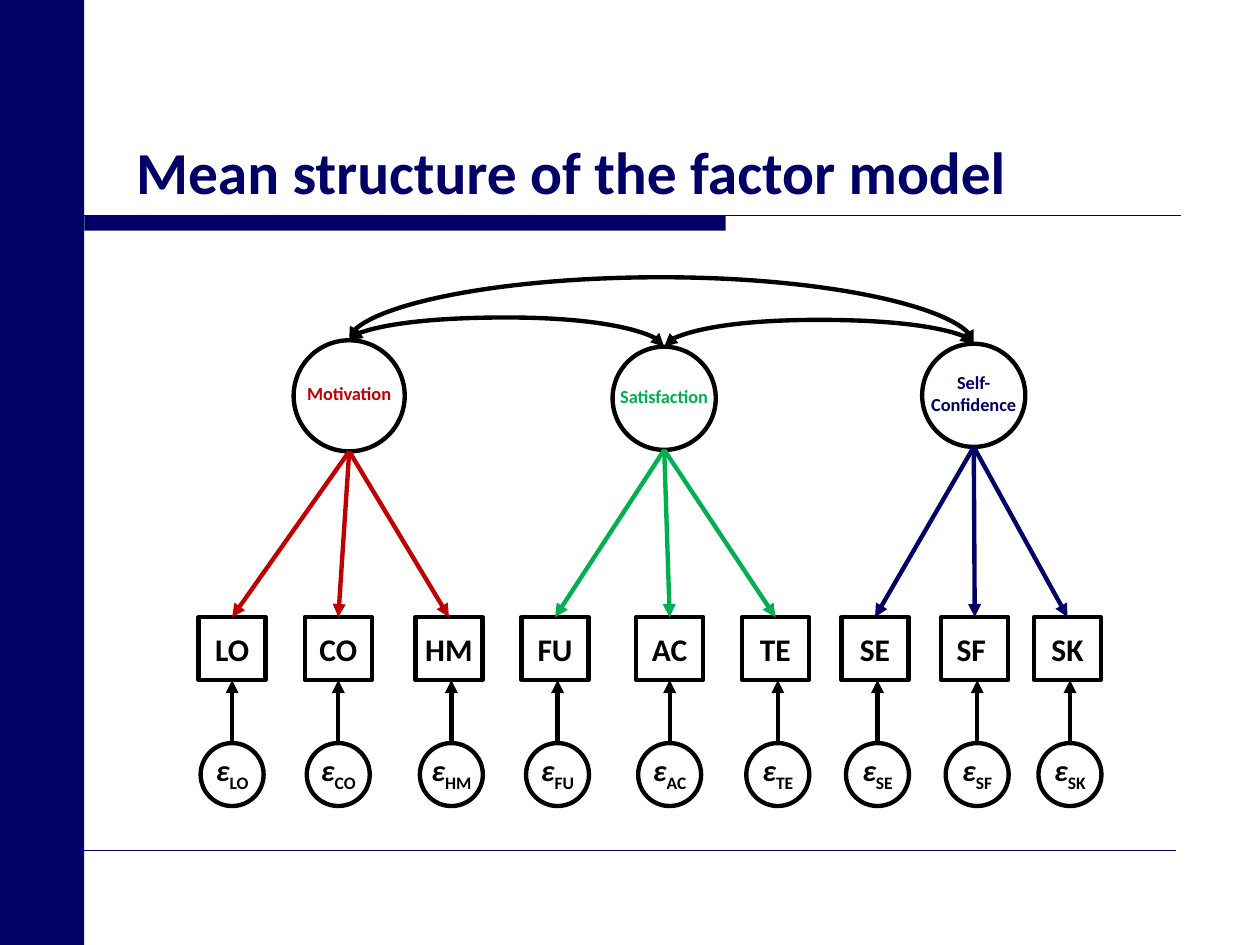
from lxml import etree
from pptx import Presentation
from pptx.dml.color import RGBColor
from pptx.enum.shapes import MSO_CONNECTOR, MSO_SHAPE
from pptx.enum.text import MSO_ANCHOR, MSO_AUTO_SIZE, PP_ALIGN
from pptx.oxml.ns import qn
from pptx.util import Cm, Pt

RECT, OVAL = MSO_SHAPE.RECTANGLE, MSO_SHAPE.OVAL
STRAIGHT, CURVE = MSO_CONNECTOR.STRAIGHT, MSO_CONNECTOR.CURVE
CENTER, LEFT = PP_ALIGN.CENTER, PP_ALIGN.LEFT
MIDDLE, BOTTOM = MSO_ANCHOR.MIDDLE, MSO_ANCHOR.BOTTOM
NO_FIT = MSO_AUTO_SIZE.NONE

NAVY = RGBColor(0x00, 0x00, 0x66)
RED = RGBColor(0xC0, 0x00, 0x00)
GREEN = RGBColor(0x00, 0xB0, 0x50)
BLACK = RGBColor(0x00, 0x00, 0x00)

FONT = "Calibri"
STROKE = 2.5

# Factor: lines, colour, centre x, top, diameter, indicators with centre x
# and the sideways shift of their error term (cm, within the diagram)
FACTORS = [
    (["Motivation"], RED, 3.04, 1.27, 2.24,
     [("LO", 0.68, 0), ("CO", 2.82, 0), ("HM", 5.05, 0.05)]),
    (["Satisfaction"], GREEN, 9.39, 1.4, 2.08,
     [("FU", 7.19, 0.05), ("AC", 9.5, 0), ("TE", 11.63, 0.05)]),
    (["Self-", "Confidence"], NAVY, 15.63, 1.34, 2.08,
     [("SE", 13.64, 0.05), ("SF ", 15.65, 0.05), ("SK", 17.52, 0.05)]),
]
# Covariance: first factor, second factor, height of the arc's top
COVARIANCES = [(0, 1, 0.81), (1, 2, 0.86), (0, 2, 0)]

BOX_TOP, BOX_W, BOX_H = 6.85, 1.35, 1.27
ERROR_TOP, ERROR_D = 9.39, 1.27


def add_run(p, text, size, color, italic=False, baseline=None):
    r = p.add_run()
    r.text = text
    r.font.name, r.font.size = FONT, Pt(size)
    r.font.bold, r.font.italic = True, italic
    r.font.color.rgb = color
    if baseline:
        r.font._element.set("baseline", str(baseline))


def add_block(slide, left, top, width, height):
    sp = slide.shapes.add_shape(RECT, Cm(left), Cm(top), Cm(width), Cm(height))
    sp.shadow.inherit = False
    sp.fill.solid()
    sp.fill.fore_color.rgb = NAVY
    sp.line.fill.background()


def add_node(slide, kind, center_x, top, width, height, inset=0, wrap=True):
    """Add an outlined node and return its text frame."""
    sp = slide.shapes.add_shape(kind, Cm(center_x - width / 2), Cm(top),
                                Cm(width), Cm(height))
    sp.shadow.inherit = False
    sp.fill.background()
    sp.line.color.rgb = BLACK
    sp.line.width = Pt(STROKE)
    tf = sp.text_frame
    tf.word_wrap = wrap
    tf.vertical_anchor = MIDDLE
    tf.margin_left = tf.margin_right = Cm(inset)
    tf.margin_top, tf.margin_bottom = Cm(0.1 if inset else 0), Cm(0.1)
    tf.paragraphs[0].alignment = CENTER
    return tf


def add_line(slide, start, end, color, width=STROKE, ends=(), kind=STRAIGHT):
    line = slide.shapes.add_connector(kind, *(Cm(v) for v in (*start, *end)))
    line.line.color.rgb = color
    line.line.width = Pt(width)
    for tag in ends:
        arrow = etree.SubElement(line.line._get_or_add_ln(), qn(tag))
        arrow.set("type", "triangle")
    etree.SubElement(line._element.spPr, qn("a:effectLst"))
    return line


def add_arc(slide, start, end, peak):
    """Join two points by a double-headed curve that rises to peak."""
    (x1, y1), (x2, y2) = start, end
    mid_x, mid_y = (x1 + x2) / 2, (y1 + y2) / 2
    half_w, half_h = abs(y2 - y1) / 2, (x2 - x1) / 2
    falls = y2 > y1
    side = half_h if falls else -half_h
    # The connector lies on its side: its box is swapped and then turned
    line = add_line(slide, (mid_x + half_w, mid_y - side),
                    (mid_x - half_w, mid_y + side), BLACK,
                    ends=("a:headEnd", "a:tailEnd"), kind=CURVE)
    sp_pr = line._element.spPr
    sp_pr.find(qn("a:xfrm")).set("rot", str((270 if falls else 90) * 60000))
    guides = sp_pr.find(qn("a:prstGeom")).get_or_add_avLst()
    guide = etree.SubElement(guides, qn("a:gd"))
    guide.set("name", "adj1")
    guide.set("fmla", f"val {round((peak - y1) / (y2 - y1) * 100000)}")


def add_frame(slide, left, top, width, height):
    """Side bar, title rule and footer rule."""
    bar = 1.7
    x, right = left + bar, left + width
    add_block(slide, left, top, bar, height)
    add_block(slide, x, top + 4.34, 12.93, 0.31)
    add_line(slide, (x, top + 4.34), (right - 1.6, top + 4.34), NAVY, 0.75)
    add_line(slide, (x, top + 17.15), (right - 1.7, top + 17.15), NAVY, 0.25)


def add_title(slide, left, top, width, height):
    title = slide.shapes.title
    title.left, title.top = Cm(left), Cm(top)
    title.width, title.height = Cm(width), Cm(height)
    tf = title.text_frame
    tf.word_wrap = True
    tf.auto_size = NO_FIT
    tf.vertical_anchor = BOTTOM
    p = tf.paragraphs[0]
    p.alignment = LEFT
    add_run(p, "Mean structure of the factor model", 34, NAVY)


def add_indicator(slide, name, x, error_x, top):
    """Observed variable with its error term below."""
    box = add_node(slide, RECT, x, top + BOX_TOP, BOX_W, BOX_H, inset=0.18)
    add_run(box.paragraphs[0], name, 18, BLACK)
    error = add_node(slide, OVAL, error_x, top + ERROR_TOP, ERROR_D, ERROR_D)
    p = error.paragraphs[0]
    add_run(p, "ε", 17.2, BLACK, italic=True)
    add_run(p, name.strip(), 17.2, BLACK, baseline=-25000)
    add_line(slide, (error_x, top + ERROR_TOP),
             (error_x, top + BOX_TOP + BOX_H), BLACK, ends=("a:tailEnd",))


def add_factor_model(slide, left, top):
    peaks = []
    for lines, color, x, y, size, indicators in FACTORS:
        center = left + x
        peaks.append((center, top + y))
        tf = add_node(slide, OVAL, center, top + y, size, size, wrap=False)
        for i, text in enumerate(lines):
            p = tf.add_paragraph() if i else tf.paragraphs[0]
            p.alignment = CENTER
            add_run(p, text, 10.5, color)
        for name, dx, shift in indicators:
            box_x = left + dx
            add_indicator(slide, name, box_x, box_x + shift, top)
            add_line(slide, (center, top + y + size), (box_x, top + BOX_TOP),
                     color, ends=("a:tailEnd",))
    for a, b, peak in COVARIANCES:
        add_arc(slide, peaks[a], peaks[b], top + peak)


def main():
    prs = Presentation()
    prs.slide_width, prs.slide_height = Cm(25.4), Cm(19.05)
    slide = prs.slides.add_slide(prs.slide_layouts[5])
    add_frame(slide, 0, 0, 25.4, 19.05)
    add_title(slide, 2.49, 0.91, 19.53, 3.38)
    add_factor_model(slide, 4, 5.59)
    prs.save("out.pptx")


if __name__ == "__main__":
    main()
